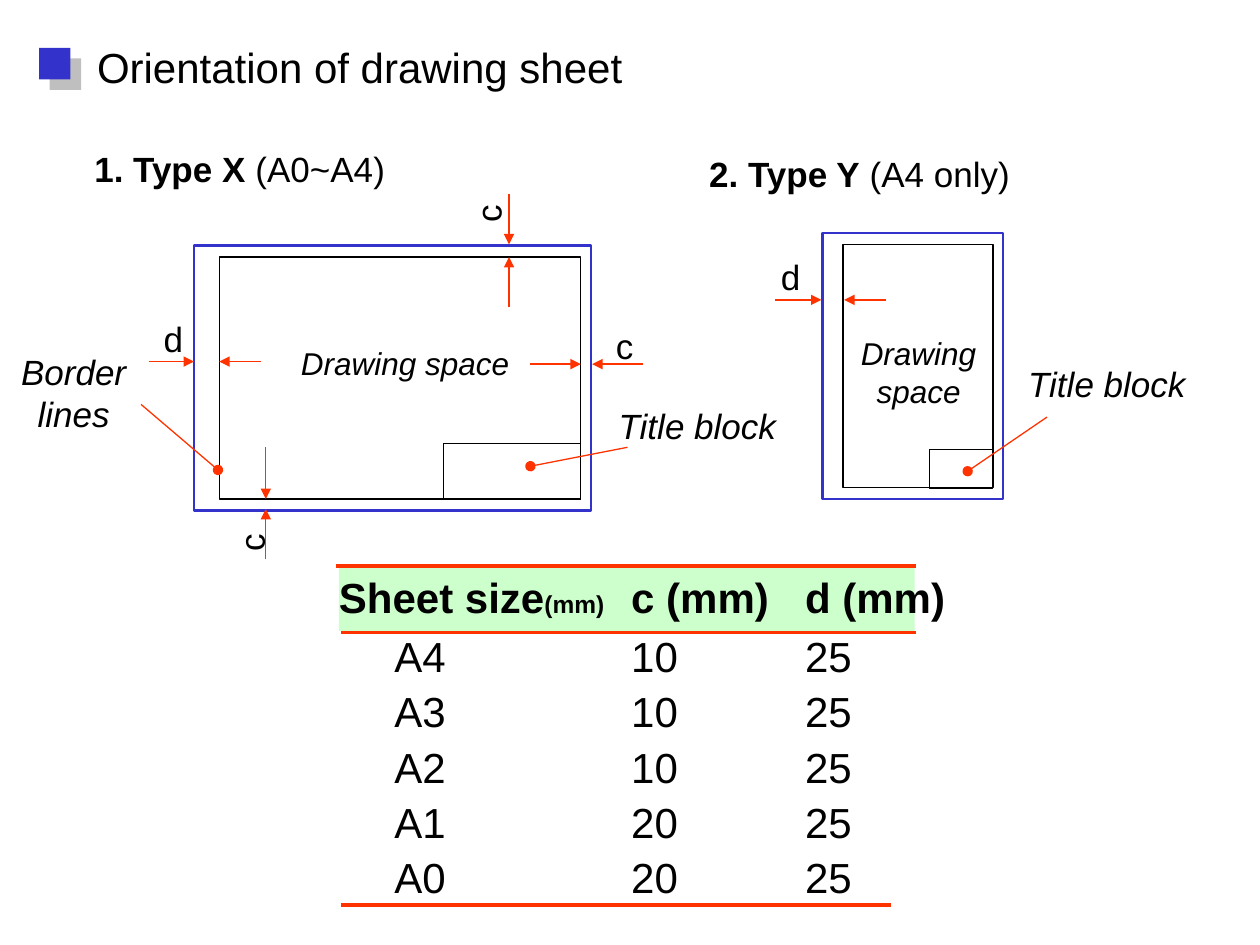
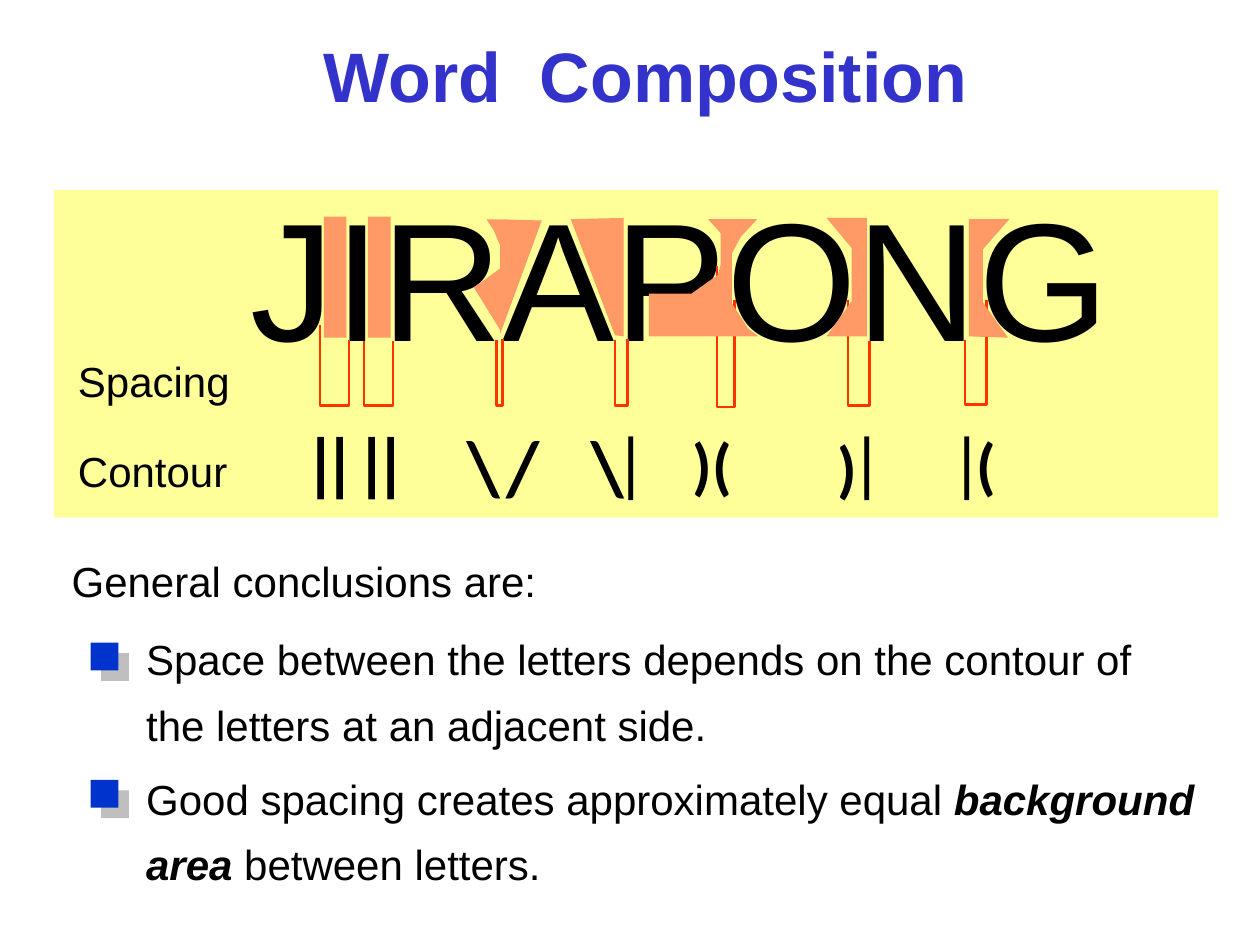
from dataclasses import dataclass
from typing import NamedTuple

from lxml.etree import SubElement
from pptx import Presentation
from pptx.dml.color import RGBColor
from pptx.enum.shapes import MSO_CONNECTOR as CONN, MSO_SHAPE as SHAPE
from pptx.enum.text import MSO_ANCHOR as ANCHOR, MSO_AUTO_SIZE as AUTO, PP_ALIGN as ALIGN
from pptx.oxml.ns import qn
from pptx.util import Inches, Pt

BLACK, BLUE, BULLET_BLUE, RED = "000000", "3333CC", "0033CC", "FF3300"
GREEN, YELLOW, ORANGE, GREY = "CCFFCC", "FFFF99", "FF9966", "808080"
NO_GRID_STYLE = "{2D5ABB26-0587-4C30-8999-92F81FD0307C}"


class Span(NamedTuple):
    text: str
    size: float = 24
    bold: bool = False
    italic: bool = False
    font: str = "Arial"
    color: str = BLACK


class Box(NamedTuple):
    left: float
    top: float
    width: float
    height: float

    def emu(self) -> list:
        return [Inches(v) for v in self]


@dataclass
class Label:
    box: Box
    lines: list
    wrap: bool = False
    align: ALIGN = ALIGN.LEFT
    rotation: int = 0


class Arrow(NamedTuple):
    x1: float
    y1: float
    x2: float
    y2: float
    end: str = "triangle"


class Bracket(NamedTuple):
    left: float
    left_top: float
    right: float
    right_top: float
    bottom: float = 3.22


def rgb(value: str) -> RGBColor:
    return RGBColor.from_string(value)


def write(p, *spans: Span) -> None:
    """Fill a paragraph; a vertical tab in a span is a line break."""
    for span in spans:
        for i, part in enumerate(span.text.split("\v")):
            if i:
                p.add_line_break()
                SubElement(p._p[-1], qn("a:rPr"), sz=str(span.size * 100))
            r = p.add_run()
            r.text = part
            r.font.size, r.font.name = Pt(span.size), span.font
            r.font.bold, r.font.italic = span.bold, span.italic
            r.font.color.rgb = rgb(span.color)


def fill_text(sp, label: Label) -> None:
    tf = sp.text_frame
    tf.auto_size, tf.word_wrap, tf.vertical_anchor = AUTO.NONE, label.wrap, ANCHOR.TOP
    sp.rotation = label.rotation
    for i, spans in enumerate(label.lines):
        p = tf.add_paragraph() if i else tf.paragraphs[0]
        p.alignment = label.align
        write(p, *spans)


def add_label(s, label: Label) -> None:
    fill_text(s.shapes.add_textbox(*label.box.emu()), label)


def place(sp, label: Label) -> None:
    """Move a placeholder to the label's box and fill it."""
    sp.left, sp.top, sp.width, sp.height = label.box.emu()
    fill_text(sp, label)


def paint(sp, fill: str | None = None, line: str | None = None, width: float = 0.75) -> None:
    sp.shadow.inherit = False
    if fill:
        sp.fill.solid()
        sp.fill.fore_color.rgb = rgb(fill)
    else:
        sp.fill.background()
    if line:
        sp.line.color.rgb = rgb(line)
        sp.line.width = Pt(width)
    else:
        sp.line.fill.background()


def add_rect(s, box: Box, fill: str | None = None, line: str | None = None, width: float = 0.75):
    sp = s.shapes.add_shape(SHAPE.RECTANGLE, *box.emu())
    paint(sp, fill, line, width)
    return sp


def add_marker(s, box: Box, fill: str) -> None:
    """Draw a square bullet with a grey shadow to the lower right."""
    effects = add_rect(s, box, fill)._element.spPr.find(qn("a:effectLst"))
    shadow = SubElement(effects, qn("a:outerShdw"), dist=str(Pt(8.5)), dir="2700000", rotWithShape="0")
    color = SubElement(shadow, qn("a:srgbClr"), val=GREY)
    SubElement(color, qn("a:alpha"), val="50000")


def add_line(s, arrow: Arrow, width: float = 0.75) -> None:
    c = s.shapes.add_connector(CONN.STRAIGHT, *[Inches(v) for v in arrow[:4]])
    c.line.color.rgb = rgb(RED)
    c.line.width = Pt(width)
    if arrow.end:
        SubElement(c.line._get_or_add_ln(), qn("a:tailEnd"), type=arrow.end)
    SubElement(c._element.spPr, qn("a:effectLst"))


def add_outline(s, points: list, closed: bool):
    pts = [(Inches(x), Inches(y)) for x, y in points]
    fb = s.shapes.build_freeform(*pts[0], scale=1.0)
    fb.add_line_segments(pts[1:], close=closed)
    return fb.convert_to_shape()


def add_sheet_table(s) -> None:
    sizes = [("A4", "10", "25"), ("A3", "10", "25"), ("A2", "10", "25"),
             ("A1", "20", "25"), ("A0", "20", "25")]
    header = [(Span("Sheet size", bold=True), Span("(mm)", 14, True)),
              (Span("c (mm)", bold=True),), (Span("d (mm)", bold=True),)]
    rows = [header] + [[(Span(v),) for v in row] for row in sizes]
    add_rect(s, Box(2.69, 4.49, 4.57, 0.52), GREEN)
    tbl = s.shapes.add_table(len(rows), 3, *Box(2.69, 4.5, 4.86, 2.7).emu()).table
    tbl.first_row = tbl.horz_banding = False
    tbl._tbl.tblPr.find(qn("a:tableStyleId")).text = NO_GRID_STYLE
    for col, width in zip(tbl.columns, (2.28, 1.38, 1.2)):
        col.width = Inches(width)
    for i, row in enumerate(rows):
        tbl.rows[i].height = Inches(0.44 if i else 0.5)
        for j, spans in enumerate(row):
            cell = tbl.cell(i, j)
            cell.fill.background()
            cell.margin_top = cell.margin_bottom = cell.margin_right = 0
            cell.margin_left = Inches(0.44 if i and not j else 0.04 if j else 0)
            cell.vertical_anchor = ANCHOR.MIDDLE
            write(cell.text_frame.paragraphs[0], *spans)
    for x1, x2, y in ((2.67, 7.27, 4.49), (2.71, 7.27, 5.02), (2.71, 7.07, 7.18)):
        add_line(s, Arrow(x1, y, x2, y, ""), 2.25)


def orientation_slide(prs) -> None:
    s = prs.slides.add_slide(prs.slide_layouts[5])
    place(s.shapes.title, Label(Box(0.67, 0.28, 4.37, 0.5), [[Span("Orientation of drawing sheet")]]))
    add_marker(s, Box(0.31, 0.38, 0.25, 0.25), BLUE)

    title_blocks = [Box(3.52, 3.52, 1.09, 0.44), Box(7.38, 3.57, 0.5, 0.31)]
    borders = [Box(1.74, 2.04, 2.87, 1.92), Box(6.69, 1.94, 1.19, 1.93)]
    sheets = [Box(1.54, 1.95, 3.15, 2.1), Box(6.53, 1.85, 1.43, 2.11)]
    for box in title_blocks + borders:
        add_rect(s, box, line=BLACK)
    for box in sheets:
        add_rect(s, box, line=BLUE, width=1.5)

    dimension_arrows = [
        Arrow(6.15, 2.38, 6.52, 2.38), Arrow(7.03, 2.38, 6.7, 2.38),
        Arrow(1.18, 2.87, 1.54, 2.87), Arrow(2.07, 2.87, 1.74, 2.87),
        Arrow(2.11, 3.55, 2.11, 3.96), Arrow(2.11, 4.44, 2.11, 4.04),
        Arrow(4.04, 1.54, 4.04, 1.94), Arrow(4.04, 2.44, 4.04, 2.04),
        Arrow(4.21, 2.89, 4.61, 2.89), Arrow(5.1, 2.89, 4.7, 2.89)]
    leaders = [Arrow(4.98, 3.55, 4.21, 3.7, "oval"), Arrow(1.12, 3.21, 1.73, 3.73, "oval"),
               Arrow(8.31, 3.31, 7.68, 3.74, "oval")]
    for arrow in dimension_arrows + leaders:
        add_line(s, arrow)

    for letter, x, y, rotation in (("d", 6.1, 1.98, 0), ("d", 1.2, 2.47, 0), ("c", 1.82, 4.09, 270),
                                   ("c", 3.7, 1.48, 270), ("c", 4.79, 2.53, 0)):
        add_label(s, Label(Box(x, y, 0.34, 0.43), [[Span(letter, 20)]], True, rotation=rotation))
    for box, size, lines in (
            (Box(2.29, 2.68, 1.85, 0.4), 18, ["Drawing space"]),
            (Box(6.73, 2.6, 1.12, 0.7), 18, ["Drawing", "space"]),
            (Box(4.81, 3.16, 1.45, 0.43), 20, ["Title block"]),
            (Box(8.06, 2.83, 1.45, 0.43), 20, ["Title block"]),
            (Box(0.07, 2.73, 1.03, 0.77), 20, ["Border", "lines"])):
        add_label(s, Label(box, [[Span(t, size, italic=True)] for t in lines], align=ALIGN.CENTER))
    for box, name, sizes in ((Box(0.65, 1.12, 2.52, 0.43), "1. Type X", " (A0~A4)"),
                             (Box(5.53, 1.16, 2.61, 0.43), "2. Type Y", " (A4 only)")):
        add_label(s, Label(box, [[Span(name, 20, True), Span(sizes, 20)]]))
    add_sheet_table(s)


def add_contours(s) -> None:
    """Draw the strokes that stand for the facing sides of the letters."""
    def stroke(text: str, x: float, y: float, w: float, h: float, size: int,
               font: str = "Calibri", wrap: bool = True) -> None:
        add_label(s, Label(Box(x, y, w, h), [[Span(text, size, True, font=font)]], wrap))

    for pair in (2.32, 2.72):
        for x in (pair, pair + 0.15):
            stroke("|", x, 3.27, 0.48, 0.77, 40, wrap=False)
    slashes = [Span(t, size, True, font="Calibri") for t, size in (("\\", 44), (" ", 16), ("/", 44))]
    add_label(s, Label(Box(3.61, 3.27, 0.81, 0.83), [slashes], True))
    stroke("\\", 4.6, 3.27, 0.4, 0.83, 44)
    stroke(")(", 5.4, 3.33, 0.74, 0.7, 36)
    stroke(")", 6.55, 3.35, 0.4, 0.7, 36)
    stroke("(", 7.65, 3.33, 0.4, 0.7, 36)
    for x in (4.85, 6.72, 7.52):
        stroke("|", x, 3.25, 0.32, 0.77, 40, "Times New Roman", False)


def add_letter_gaps(s) -> None:
    """Fill the background areas between neighbouring letters."""
    for x in (2.57, 2.92):
        add_rect(s, Box(x, 1.72, 0.18, 0.96), ORANGE)
    gaps = [
        [(4.95, 2.67), (4.95, 1.73), (4.53, 1.74), (4.88, 2.66)],
        [(3.97, 2.65), (3.97, 1.74), (4.3, 1.75)],
        [(3.97, 1.74), (3.86, 1.74), (3.92, 1.83), (3.97, 1.95)],
        [(3.97, 2.13), (3.82, 2.24), (3.76, 2.28), (3.97, 2.62)],
        [(5.15, 2.67), (5.15, 2.33), (5.49, 2.33), (5.7, 2.18), (5.72, 2.1), (5.72, 1.85), (5.62, 1.74),
         (6.01, 1.74), (5.88, 1.88), (5.81, 2.01), (5.81, 2.41), (5.94, 2.61), (6.02, 2.67)],
        [(6.88, 2.67), (6.56, 2.67), (6.76, 2.39), (6.76, 1.97), (6.56, 1.73), (6.88, 1.73)],
        [(7.69, 2.67), (8, 2.68), (7.8, 2.4), (7.8, 1.98), (8.01, 1.74), (7.69, 1.74)]]
    for points in gaps:
        paint(add_outline(s, points, True), ORANGE)


def composition_slide(prs) -> None:
    s = prs.slides.add_slide(prs.slide_layouts[1])
    place(s.shapes.title, Label(Box(2.47, 0.21, 5.32, 0.77),
                                [[Span("Word  Composition", 40, True, color=BLUE)]]))
    add_rect(s, Box(0.43, 1.51, 9.24, 2.6), YELLOW)
    add_label(s, Label(Box(1.89, 1.33, 7.02, 1.7), [[Span("JIRAPONG", 96)]]))

    for b in (Bracket(2.54, 2.58, 2.77, 2.7), Bracket(2.89, 2.71, 3.12, 2.71),
              Bracket(3.94, 2.7, 3.99, 2.69), Bracket(4.88, 2.7, 4.98, 2.69),
              Bracket(5.69, 2.11, 5.83, 2.38, 3.23), Bracket(6.73, 2.38, 6.9, 2.71),
              Bracket(7.66, 2.7, 7.83, 2.38, 3.21)):
        points = [(b.left, b.left_top), (b.left, b.bottom), (b.right, b.bottom), (b.right, b.right_top)]
        paint(add_outline(s, points, False), line=RED, width=1.5)
    add_contours(s)
    add_letter_gaps(s)

    for box, text in ((Box(0.52, 2.77, 1.41, 0.5), "Spacing"), (Box(0.52, 3.49, 1.39, 0.5), "Contour"),
                      (Box(0.47, 4.36, 3.89, 0.5), "General conclusions are:")):
        add_label(s, Label(box, [[Span(text)]]))

    body = s.placeholders[1]
    place(body, Label(Box(1.06, 4.86, 8.7, 2.24), [
        [Span("Space between the letters depends on the contour of\vthe letters at an adjacent side.")],
        [Span("Good spacing creates approximately equal "),
         Span("background\varea", bold=True, italic=True), Span(" between letters.")]], True))
    for i, p in enumerate(body.text_frame.paragraphs):
        p.line_spacing = 1.3
        p.space_before = Pt(5 if i else 0)
        pPr = p._p.get_or_add_pPr()
        pPr.set("marL", "0")
        pPr.set("indent", "0")
        SubElement(pPr, qn("a:buNone"))
    for y in (5.1, 6.19):
        add_marker(s, Box(0.72, y, 0.22, 0.22), BULLET_BLUE)


def main() -> None:
    prs = Presentation()
    prs.slide_width, prs.slide_height = Inches(10), Inches(7.5)
    orientation_slide(prs)
    composition_slide(prs)
    prs.save("out.pptx")


if __name__ == "__main__":
    main()
